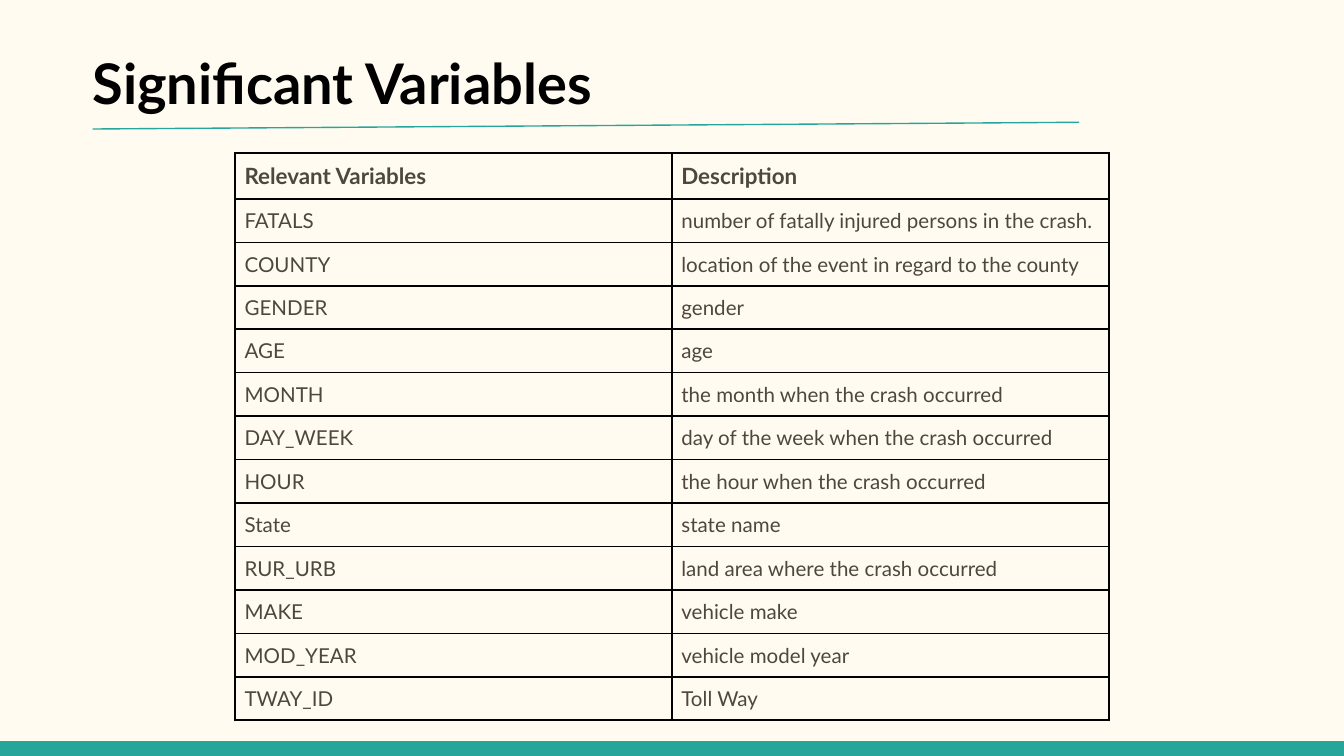
from lxml import etree
from pptx import Presentation
from pptx.dml.color import RGBColor
from pptx.enum import shapes, text
from pptx.oxml.ns import qn
from pptx.util import Inches, Pt

TITLE = "Significant Variables"
ROWS = [
    ("Relevant Variables", "Description"),
    ("FATALS", "number of fatally injured persons in the crash."),
    ("COUNTY", "location of the event in regard to the county"),
    ("GENDER", "gender"),
    ("AGE", "age"),
    ("MONTH", "the month when the crash occurred"),
    ("DAY_WEEK", "day of the week when the crash occurred"),
    ("HOUR", "the hour when the crash occurred"),
    ("State", "state name"),
    ("RUR_URB", "land area where the crash occurred"),
    ("MAKE", "vehicle make"),
    ("MOD_YEAR", "vehicle model year"),
    ("TWAY_ID", "Toll Way"),
]
FONT = "Lato"
CREAM, TEAL, BLACK, BROWN = "FFFBF0", "26A69A", "000000", "4C483D"
WIDTH = 10
HEIGHT = WIDTH * 9 / 16
BAR_HEIGHT = 0.11
COLUMN_WIDTH = 3.25
HEADER_HEIGHT, ROW_HEIGHT = 0.34, 0.32
CELL_MARGIN = 0.07


def color(value):
    return RGBColor.from_string(value)


def write(frame, content, size, ink, bold):
    frame.text = content
    font = frame.paragraphs[0].runs[0].font
    font.name, font.size, font.bold = FONT, Pt(size), bold
    font.color.rgb = color(ink)


def add_borders(cell, ink, points):
    properties = cell._tc.get_or_add_tcPr()
    for index, side in enumerate(("a:lnL", "a:lnR", "a:lnT", "a:lnB")):
        line = etree.Element(qn(side), w=str(Pt(points)))
        fill = etree.SubElement(line, qn("a:solidFill"))
        etree.SubElement(fill, qn("a:srgbClr"), val=ink)
        properties.insert(index, line)


deck = Presentation()
deck.slide_width, deck.slide_height = Inches(WIDTH), Inches(HEIGHT)
slide = deck.slides.add_slide(deck.slide_layouts[6])
slide.background.fill.solid()
slide.background.fill.fore_color.rgb = color(CREAM)

bar = slide.shapes.add_shape(
    shapes.MSO_SHAPE.RECTANGLE, 0, Inches(HEIGHT - BAR_HEIGHT),
    Inches(WIDTH), Inches(BAR_HEIGHT))
bar.shadow.inherit = False
bar.fill.solid()
bar.fill.fore_color.rgb = color(TEAL)
bar.line.fill.background()

title = slide.shapes.add_textbox(Inches(0.59), Inches(0.26), Inches(9.07), Inches(0.67))
frame = title.text_frame
frame.word_wrap = True
frame.vertical_anchor = text.MSO_ANCHOR.TOP
frame.margin_left = frame.margin_right = Inches(0.1)
frame.margin_top = frame.margin_bottom = Inches(0.1)
write(frame, TITLE, 30, BLACK, True)

table_height = HEADER_HEIGHT + ROW_HEIGHT * (len(ROWS) - 1)
table = slide.shapes.add_table(
    len(ROWS), 2, Inches(1.75), Inches(1.14),
    Inches(2 * COLUMN_WIDTH), Inches(table_height)).table
table.horz_banding = False
for column in table.columns:
    column.width = Inches(COLUMN_WIDTH)
for row_index, (row, entries) in enumerate(zip(table.rows, ROWS)):
    header = row_index == 0
    row.height = Inches(HEADER_HEIGHT if header else ROW_HEIGHT)
    for cell, entry in zip(row.cells, entries):
        cell.margin_left = cell.margin_right = Inches(CELL_MARGIN)
        cell.margin_top = cell.margin_bottom = Inches(CELL_MARGIN)
        cell.fill.background()
        write(cell.text_frame, entry, 12 if header else 11, BROWN, header)
        add_borders(cell, BLACK, 1)

rule = slide.shapes.add_connector(
    shapes.MSO_CONNECTOR.STRAIGHT, Inches(0.69), Inches(0.96), Inches(8.03), Inches(0.91))
rule.line.color.rgb = color(TEAL)
rule.line.width = Pt(0.75)
etree.SubElement(rule._element.spPr, qn("a:effectLst"))

deck.save("out.pptx")
